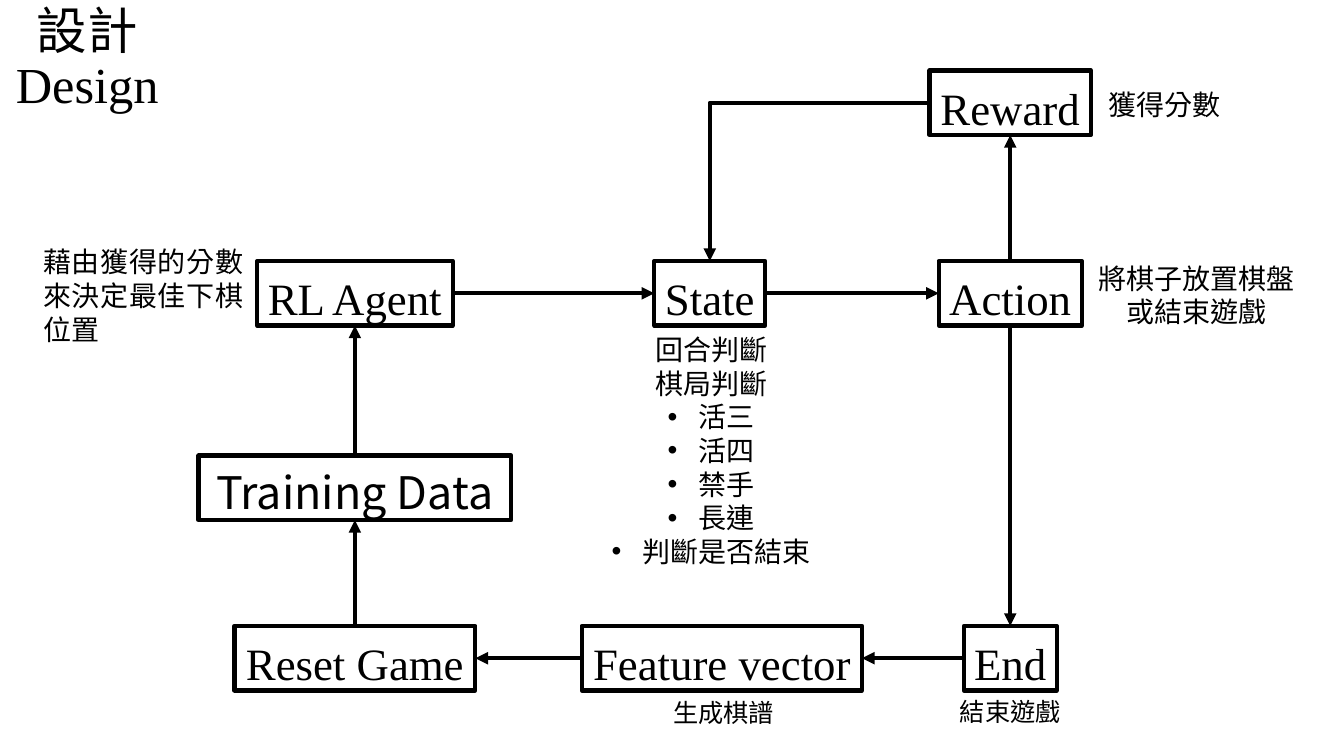
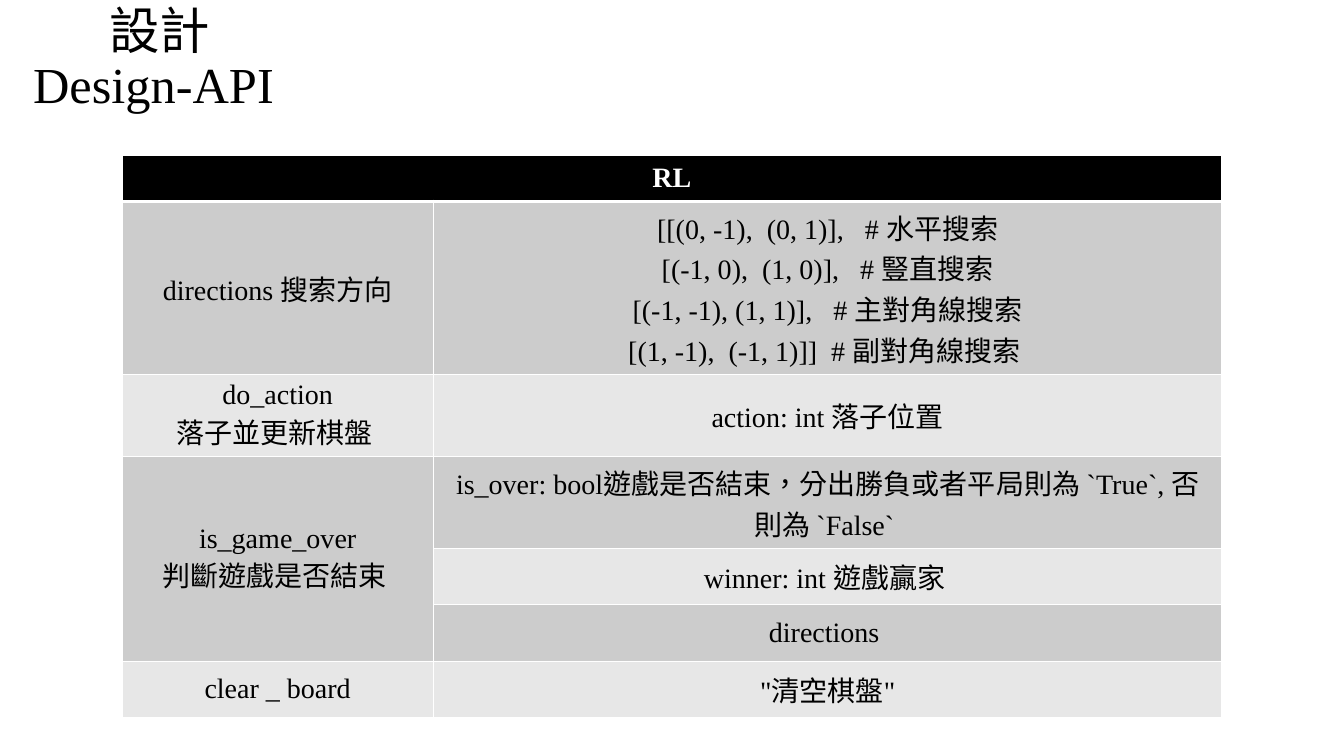
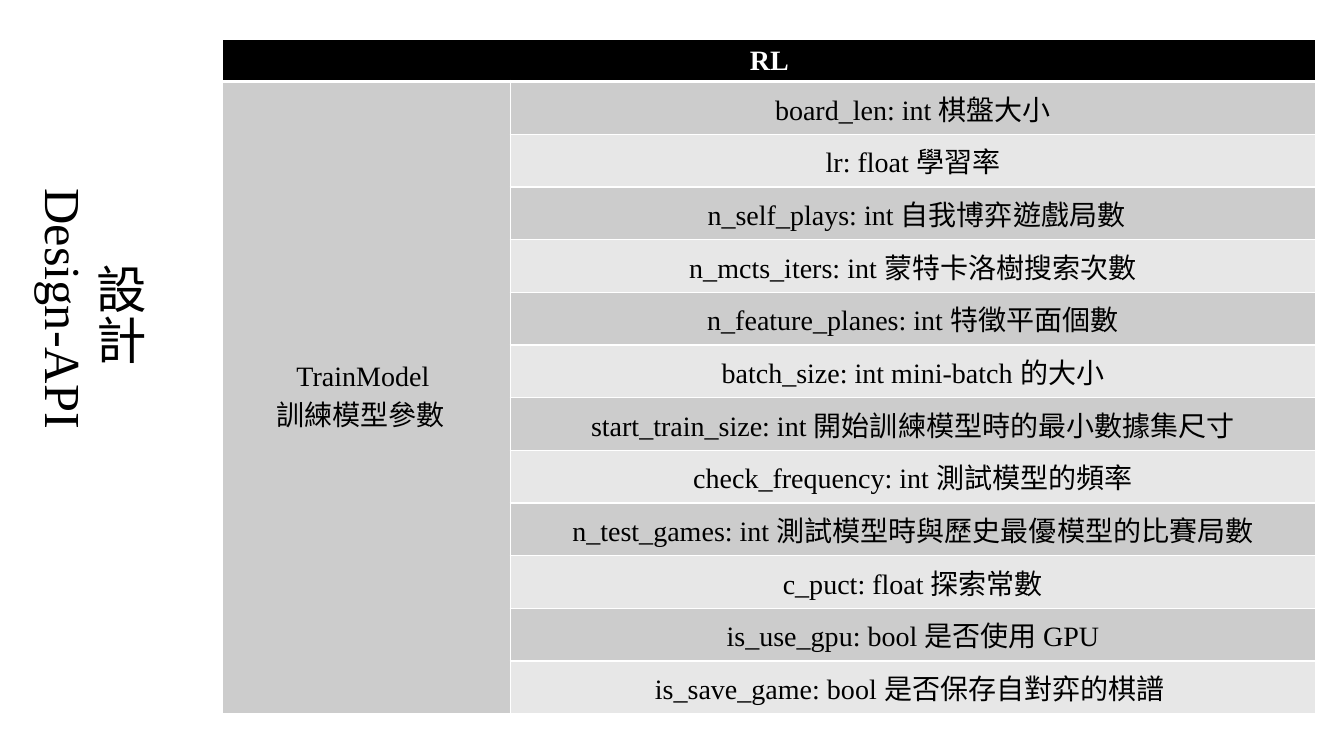
from lxml.etree import SubElement
from pptx import Presentation
from pptx.dml.color import RGBColor
from pptx.enum.shapes import MSO_CONNECTOR, MSO_SHAPE
from pptx.enum.text import MSO_ANCHOR, PP_ALIGN
from pptx.oxml.ns import qn
from pptx.util import Inches, Pt

LATIN = "Times New Roman"
CHINESE = "Noto Sans CJK SC"
BLACK, WHITE = "000000", "FFFFFF"
BANDS = ["CCCCCC", "E7E7E7"]
TITLE = {"size": 36, "spacing": 0.9}
NODE_HEIGHT = 0.64
TOP, LEFT, BOTTOM, RIGHT = range(4)

# name: centre x, top, width
NODES = {
    "Reward": (10.02, 0.7, 1.6),
    "RL Agent": (3.52, 2.59, 1.94),
    "State": (7.04, 2.59, 1.1),
    "Action": (10.02, 2.59, 1.42),
    "Training Data": (3.52, 4.52, 3.1),
    "Reset Game": (3.52, 6.21, 2.39),
    "Feature vector": (7.16, 6.21, 2.78),
    "End": (10.02, 6.21, 0.92),
}
LINKS = [
    ("RL Agent", RIGHT, "State", LEFT),
    ("State", RIGHT, "Action", LEFT),
    ("Action", TOP, "Reward", BOTTOM),
    ("Reward", LEFT, "State", TOP),
    ("Action", BOTTOM, "End", TOP),
    ("End", LEFT, "Feature vector", RIGHT),
    ("Feature vector", LEFT, "Reset Game", RIGHT),
    ("Reset Game", TOP, "Training Data", BOTTOM),
    ("Training Data", TOP, "RL Agent", BOTTOM),
]
# left, top, width, height, size, alignment, lines
NOTES = [
    (10.89, 0.8, 1.32, 0.44, 20, PP_ALIGN.CENTER, ["獲得分數"]),
    (10.73, 2.52, 2.27, 0.77, 20, PP_ALIGN.CENTER, ["將棋子放置棋盤", "或結束遊戲"]),
    (0.33, 2.36, 2.18, 1.11, 20, PP_ALIGN.JUSTIFY, ["藉由獲得的分數來決定最佳下棋位置"]),
    (5.92, 3.23, 2.27, 2.46, 20, PP_ALIGN.CENTER,
     ["回合判斷", "棋局判斷", "• 活三", "• 活四", "• 禁手", "• 長連", "• 判斷是否結束"]),
    (5.77, 6.85, 2.81, 0.4, 18, PP_ALIGN.CENTER, ["生成棋譜"]),
    (9.41, 6.84, 1.22, 0.4, 18, PP_ALIGN.CENTER, ["結束遊戲"]),
]

# None continues the cell above
API_ROWS = [
    ("directions 搜索方向",
     "[[(0, -1),  (0, 1)],   # 水平搜索\n[(-1, 0),  (1, 0)],   # 豎直搜索\n"
     "[(-1, -1), (1, 1)],   # 主對角線搜索\n[(1, -1),  (-1, 1)]]  # 副對角線搜索 "),
    ("do_action\n落子並更新棋盤 ", "action: int 落子位置"),
    ("is_game_over\n判斷遊戲是否結束 ",
     "is_over: bool遊戲是否結束，分出勝負或者平局則為 `True`, 否則為 `False` "),
    (None, "winner: int 遊戲贏家 "),
    (None, "directions "),
    ("clear _ board", "\"清空棋盤\""),
]
TRAIN_PARAMETERS = [
    "board_len: int 棋盤大小",
    "lr: float 學習率",
    " n_self_plays: int 自我博弈遊戲局數",
    "n_mcts_iters: int 蒙特卡洛樹搜索次數",
    "n_feature_planes: int 特徵平面個數",
    "batch_size: int mini-batch 的大小",
    "start_train_size: int 開始訓練模型時的最小數據集尺寸",
    "check_frequency: int 測試模型的頻率",
    "n_test_games: int 測試模型時與歷史最優模型的比賽局數",
    "c_puct: float 探索常數",
    "is_use_gpu: bool 是否使用 GPU",
    "is_save_game: bool 是否保存自對弈的棋譜 ",
]


def color(value):
    return RGBColor.from_string(value)


def write(frame, lines, size, ink=BLACK, font=LATIN, align=PP_ALIGN.CENTER,
          bold=False, spacing=None):
    """Fill a text frame, one paragraph a line; a leading "• " makes a bullet."""
    for index, line in enumerate(lines):
        para = frame.paragraphs[0] if index == 0 else frame.add_paragraph()
        para.alignment = align
        if spacing:
            para.line_spacing = spacing
        if line.startswith("• "):
            line = line[2:]
            add_bullet(para)
        span = para.add_run()
        span.text = line
        values = {"size": Pt(size), "bold": bold, "name": font}
        for name, value in values.items():
            setattr(span.font, name, value)
        span.font.color.rgb = color(ink)
        properties = span._r.get_or_add_rPr()
        properties.set("lang", "zh-TW")
        SubElement(properties, qn("a:ea"), typeface=CHINESE)


def add_bullet(para):
    properties = para._p.get_or_add_pPr()
    indent = Inches(0.31)
    properties.set("marL", str(indent))
    properties.set("indent", str(-indent))
    SubElement(properties, qn("a:buFont"), typeface="Arial")
    SubElement(properties, qn("a:buChar"), char="•")


def add_text_box(page, left, top, width, height):
    box = page.shapes.add_textbox(*map(Inches, (left, top, width, height)))
    box.text_frame.word_wrap = True
    return box.text_frame


def add_title(page, text, left, top, width, height, vertical=False):
    frame = add_text_box(page, left, top, width, height)
    frame.vertical_anchor = MSO_ANCHOR.MIDDLE
    if vertical:
        frame._txBody.bodyPr.set("vert", "eaVert")
    write(frame, ["設計", text], **TITLE)


def add_node(page, name, center, top, width):
    node = page.shapes.add_shape(
        MSO_SHAPE.RECTANGLE,
        *map(Inches, (center - width / 2, top, width, NODE_HEIGHT)))
    node.shadow.inherit = False
    node.fill.background()
    node.line.color.rgb = color(BLACK)
    node.line.width = Pt(3)
    frame = node.text_frame
    frame.word_wrap = False
    frame.vertical_anchor = MSO_ANCHOR.TOP
    frame.margin_top = Inches(0.1)
    if name == "Training Data":
        write(frame, [name], 32, font=CHINESE, spacing=Pt(38))
    else:
        write(frame, [name], 32)
    return node


def add_link(page, start, start_side, end, end_side):
    """Join two nodes with an arrow, with one corner when the sides are at right angles."""
    bent = (start_side - end_side) % 2 == 1
    kind = MSO_CONNECTOR.ELBOW if bent else MSO_CONNECTOR.STRAIGHT
    link = page.shapes.add_connector(kind, 0, 0, 0, 0)
    link.begin_connect(start, start_side)
    link.end_connect(end, end_side)
    link.line.color.rgb = color(BLACK)
    link.line.width = Pt(3)
    properties = link._element.spPr
    if bent:
        properties.find(qn("a:prstGeom")).set("prst", "bentConnector2")
    SubElement(properties.find(qn("a:ln")), qn("a:tailEnd"), type="triangle")
    SubElement(properties, qn("a:effectLst"))


def add_note(page, left, top, width, height, size, align, lines):
    frame = add_text_box(page, left, top, width, height)
    frame.margin_top = Inches(0.07)
    write(frame, lines, size, font=CHINESE, align=align, spacing=Pt(size * 1.2))


def set_borders(cell, top=1, bottom=1):
    properties = cell._tc.get_or_add_tcPr()
    widths = {"a:lnL": 1, "a:lnR": 1, "a:lnT": top, "a:lnB": bottom}
    for index, (tag, width) in enumerate(widths.items()):
        line = SubElement(properties, qn(tag), w=str(Pt(width)))
        fill = SubElement(line, qn("a:solidFill"))
        SubElement(fill, qn("a:srgbClr"), val=WHITE)
        properties.insert(index, line)


def add_api_table(page, left, top, columns, heights, rows):
    """Table with a black header across both columns and two grey bands."""
    table = page.shapes.add_table(
        len(heights), len(columns),
        *map(Inches, (left, top, sum(columns), sum(heights)))).table
    for column, width in zip(table.columns, columns):
        column.width = Inches(width)
    for row, height in zip(table.rows, heights):
        row.height = Inches(height)
    for row_index, texts in enumerate([("RL", None), *rows]):
        header = row_index == 0
        for column_index, text in enumerate(texts):
            cell = table.cell(row_index, column_index)
            cell.vertical_anchor = MSO_ANCHOR.MIDDLE
            cell.fill.solid()
            cell.fill.fore_color.rgb = color(BLACK if header else BANDS[(row_index - 1) % 2])
            set_borders(cell, top=3 if row_index == 1 else 1, bottom=3 if header else 1)
            if text is not None:
                write(cell.text_frame, text.split("\n"), 20,
                      ink=WHITE if header else BLACK, bold=header)
    table.cell(0, 0).merge(table.cell(0, 1))
    starts = [index for index, row in enumerate(rows, 1) if row[0] is not None]
    for first, following in zip(starts, starts[1:] + [len(heights)]):
        if following - first > 1:
            table.cell(first, 0).merge(table.cell(following - 1, 0))


def build_flow(page):
    add_title(page, "Design ", 0, 0, 1.73, 1.19)
    nodes = {name: add_node(page, name, *place) for name, place in NODES.items()}
    for start, start_side, end, end_side in LINKS:
        add_link(page, nodes[start], start_side, nodes[end], end_side)
    for note in NOTES:
        add_note(page, *note)


def build_api(page):
    add_api_table(page, 1.21, 1.54, [3.09, 7.82],
                  [0.46, 1.71, 0.82, 0.9, 0.56, 0.56, 0.56], API_ROWS)
    add_title(page, "Design-API ", 0, 0, 3.17, 1.19)


def build_train_model(page):
    add_title(page, "Design-API ", 0, 1.77, 1.76, 3.96, vertical=True)
    count = len(TRAIN_PARAMETERS)
    names = ["TrainModel \n訓練模型參數  "] + [None] * (count - 1)
    add_api_table(page, 2.21, 0.39, [2.85, 7.99],
                  [0.42] + [6.27 / count] * count, list(zip(names, TRAIN_PARAMETERS)))


def main():
    deck = Presentation()
    deck.slide_width, deck.slide_height = Inches(13.33), Inches(7.5)
    for build in (build_flow, build_api, build_train_model):
        build(deck.slides.add_slide(deck.slide_layouts[6]))
    deck.save("out.pptx")


if __name__ == "__main__":
    main()
